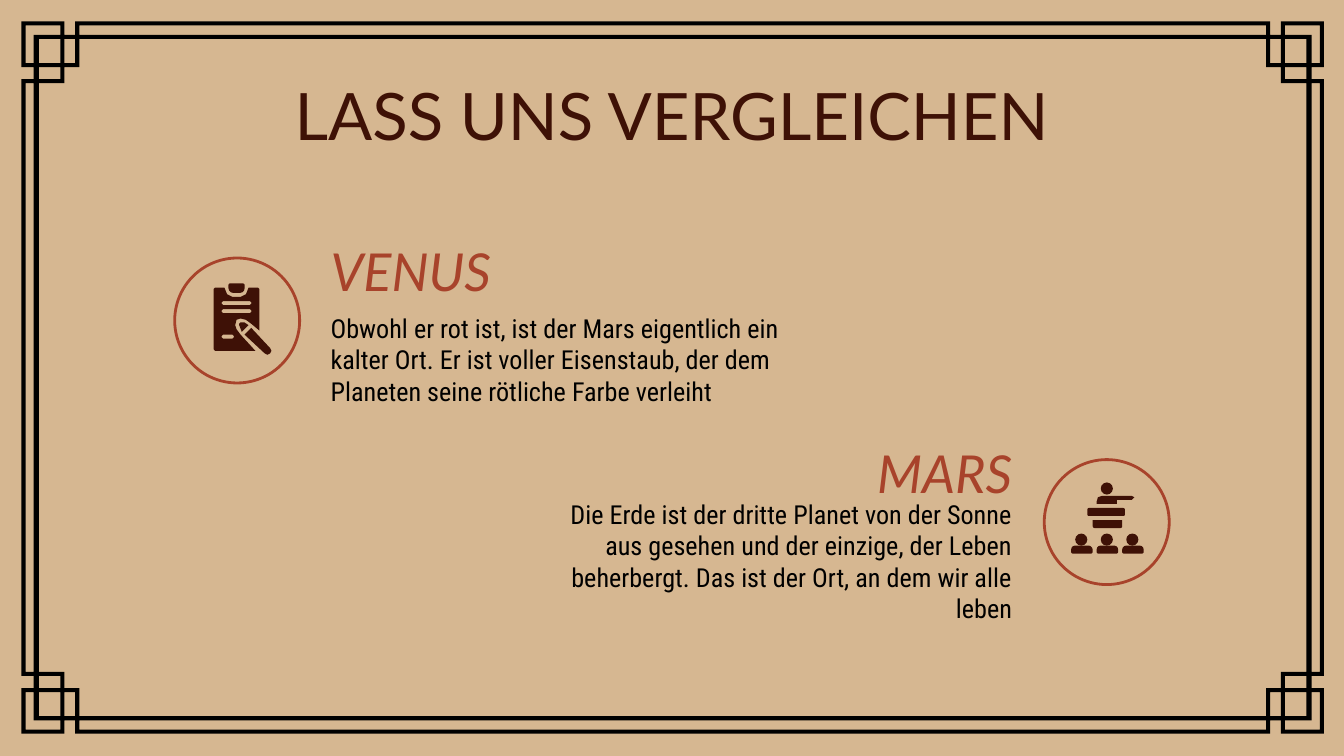
import pptx
import pptx.util
import pptx.dml.color
import pptx.enum.shapes
import pptx.enum.text
from pptx.util import Inches

COLORS = {"paper": "D6B791", "ink": "000000", "brown": "3E1106", "rust": "A8432B"}
SHAPE = pptx.enum.shapes.MSO_SHAPE
ALIGN = pptx.enum.text.PP_ALIGN
CIRCLE = 0.93


def rgb(name):
    return pptx.dml.color.RGBColor.from_string(COLORS[name])


def paint(sp, color):
    sp.shadow.inherit = False
    sp.fill.solid()
    sp.fill.fore_color.rgb = rgb(color)
    sp.line.fill.background()


def add_outline(shapes, x, y, contours, color):
    """Draw one filled freeform; contours inside the first one become holes."""
    paths = [[(Inches(x + px), Inches(y + py)) for px, py in c] for c in contours]
    builder = shapes.build_freeform(*paths[0][0])
    for i, points in enumerate(paths):
        if i:
            builder.move_to(*points[0])
        builder.add_line_segments(points[1:], close=True)
    paint(builder.convert_to_shape(), color)


def add_part(shapes, kind, x, y, w, h, adjustments=()):
    sp = shapes.add_shape(kind, Inches(x), Inches(y), Inches(w), Inches(h))
    for i, value in enumerate(adjustments):
        sp.adjustments[i] = value
    paint(sp, "brown")


def rect(x1, y1, x2, y2):
    return [(x1, y1), (x2, y1), (x2, y2), (x1, y2)]


def pill(x, y, w, h=0.03, c=0.01):
    return [(x + c, y), (x + w - c, y), (x + w, y + c), (x + w, y + h - c),
            (x + w - c, y + h), (x + c, y + h), (x, y + h - c), (x, y + c)]


def add_frame(s, x, y, w, h):
    """Interlaced double border, mirrored from its top left corner."""
    def mirrors(points):
        right = [(w - px, py) for px, py in points]
        return [points, right[::-1], [(px, h - py) for px, py in right],
                [(px, h - py) for px, py in points][::-1]]

    def ring(points):
        return [p for part in mirrors(points) for p in part]

    outer = [(0, 0.43), (0.09, 0.43), (0.09, 0.34), (0, 0.34), (0, 0),
             (0.32, 0), (0.32, 0.1), (0.4, 0.1), (0.4, 0)]
    field = [(0.13, 0.46), (0.32, 0.46), (0.32, 0.34), (0.43, 0.34), (0.43, 0.13)]
    corner_holes = [
        [(0.29, 0.03), (0.29, 0.1), (0.09, 0.1), (0.09, 0.31), (0.03, 0.31), (0.03, 0.03)],
        rect(0.13, 0.13, 0.29, 0.31),
        rect(0.32, 0.13, 0.4, 0.31),
        rect(0.13, 0.34, 0.29, 0.43),
    ]
    contours = [ring(outer), ring(field)]
    contours += [c for hole in corner_holes for c in mirrors(hole)]
    contours += [rect(0.43, 0.03, w - 0.43, 0.1), rect(0.43, h - 0.1, w - 0.43, h - 0.03),
                 rect(0.03, 0.46, 0.09, h - 0.46), rect(w - 0.09, 0.46, w - 0.03, h - 0.46)]
    add_outline(s.shapes, x, y, contours, "ink")


def set_text(sp, box, text, font, size, color, align=ALIGN.LEFT, italic=False):
    sp.left, sp.top, sp.width, sp.height = map(Inches, box)
    tf = sp.text_frame
    tf.text = text
    tf.word_wrap = True
    tf.auto_size = pptx.enum.text.MSO_AUTO_SIZE.NONE
    tf.vertical_anchor = pptx.enum.text.MSO_ANCHOR.MIDDLE
    tf.margin_left = tf.margin_right = tf.margin_top = tf.margin_bottom = Inches(0.1)
    p = tf.paragraphs[0]
    p.alignment = align
    p.space_before = pptx.util.Pt(0)
    pPr = p._p.get_or_add_pPr()
    pPr.set("marL", "0")
    pPr.set("indent", "0")
    pPr.append(pptx.oxml.parse_xml(
        '<a:buNone xmlns:a="http://schemas.openxmlformats.org/drawingml/2006/main"/>'))
    f = p.runs[0].font
    f.name, f.size, f.bold, f.italic = font, pptx.util.Pt(size), False, italic
    f.color.rgb = rgb(color)


def add_clipboard(shapes, x, y):
    add_part(shapes, SHAPE.ROUND_2_SAME_RECTANGLE, x + 0.4, y + 0.19, 0.12, 0.07, (0.15, 0.5))
    board = [(0.3, 0.22), (0.37, 0.22), (0.39, 0.27), (0.43, 0.29), (0.49, 0.29),
             (0.53, 0.27), (0.55, 0.22), (0.62, 0.22), (0.63, 0.23), (0.63, 0.54),
             (0.57, 0.49), (0.53, 0.46), (0.49, 0.45), (0.46, 0.46), (0.45, 0.5),
             (0.46, 0.53), (0.49, 0.57), (0.6, 0.69), (0.3, 0.69), (0.29, 0.68), (0.29, 0.23)]
    add_outline(shapes, x, y, [board, pill(0.35, 0.32, 0.22), pill(0.35, 0.38, 0.22),
                               pill(0.35, 0.57, 0.09)], "brown")
    pen = [(0.57, 0.52), (0.71, 0.67), (0.72, 0.69), (0.71, 0.71), (0.69, 0.72),
           (0.67, 0.71), (0.52, 0.57)]
    nib = [(0.49, 0.48), (0.48, 0.49), (0.48, 0.5), (0.5, 0.55), (0.55, 0.5), (0.52, 0.48)]
    for points in (pen, nib):
        add_outline(shapes, x, y, [points], "brown")


def add_lecture(shapes, x, y):
    add_part(shapes, SHAPE.ROUNDED_RECTANGLE, x + 0.32, y + 0.36, 0.28, 0.06, (0.2,))
    add_part(shapes, SHAPE.ROUND_2_SAME_RECTANGLE, x + 0.36, y + 0.45, 0.22, 0.06, (0, 0.25))
    for i in range(3):
        left = x + 0.2 + 0.19 * i
        add_part(shapes, SHAPE.ROUND_2_SAME_RECTANGLE, left, y + 0.64, 0.16, 0.06, (0.5, 0.2))
        add_part(shapes, SHAPE.OVAL, left + 0.03, y + 0.55, 0.09, 0.09)
    add_part(shapes, SHAPE.OVAL, x + 0.42, y + 0.17, 0.09, 0.09)
    speaker = [(0.39, 0.33), (0.39, 0.31), (0.4, 0.28), (0.43, 0.27), (0.65, 0.27),
               (0.67, 0.28), (0.65, 0.3), (0.54, 0.3), (0.54, 0.33)]
    add_outline(shapes, x, y, [speaker], "brown")


def add_planet(s, x, y, w, heading, body, name, text, icon, mirrored=False):
    """Heading and text beside a ringed icon; mirrored puts the icon on the right."""
    align = ALIGN.RIGHT if mirrored else ALIGN.LEFT
    text_w, head_w = 3.8, 3.23
    text_x = x if mirrored else x + w - text_w
    head_x = text_x + text_w - head_w if mirrored else text_x
    set_text(heading, (head_x, y, head_w, 0.47), name, "Lato", 28, "rust", align, True)
    set_text(body, (text_x, y + 0.56, text_w, 0.67), text, "Roboto Condensed", 14, "ink", align)
    icon_x, icon_y = (x + w - CIRCLE if mirrored else x), y + 0.14
    sp = s.shapes.add_shape(SHAPE.OVAL, Inches(icon_x), Inches(icon_y),
                            Inches(CIRCLE), Inches(CIRCLE))
    sp.shadow.inherit = False
    sp.fill.background()
    sp.line.color.rgb = rgb("rust")
    sp.line.width = pptx.util.Pt(1.5)
    icon(s.shapes.add_group_shape().shapes, icon_x, icon_y)


def main():
    prs = pptx.Presentation()
    prs.slide_width = Inches(10)
    prs.slide_height = prs.slide_width * 9 // 16
    s = prs.slides.add_slide(prs.slide_layouts.get_by_name("Comparison"))
    s.background.fill.solid()
    s.background.fill.fore_color.rgb = rgb("paper")
    add_frame(s, 0.16, 0.16, 9.69, 5.3)
    title, venus, venus_text, mars, mars_text = list(s.placeholders)[:5]
    set_text(title, (0.78, 0.59, 8.44, 0.52), "LASS UNS VERGLEICHEN", "Lato", 35, "brown",
             ALIGN.CENTER)
    add_planet(s, 1.3, 1.78, 4.86, venus, venus_text, "VENUS",
               "Obwohl er rot ist, ist der Mars eigentlich ein kalter Ort. Er ist voller "
               "Eisenstaub, der dem Planeten seine rötliche Farbe verleiht", add_clipboard)
    add_planet(s, 3.83, 3.28, 4.87, mars, mars_text, "MARS",
               "Die Erde ist der dritte Planet von der Sonne aus gesehen und der einzige, der "
               "Leben beherbergt. Das ist der Ort, an dem wir alle leben", add_lecture, True)
    prs.save("out.pptx")


if __name__ == "__main__":
    main()
